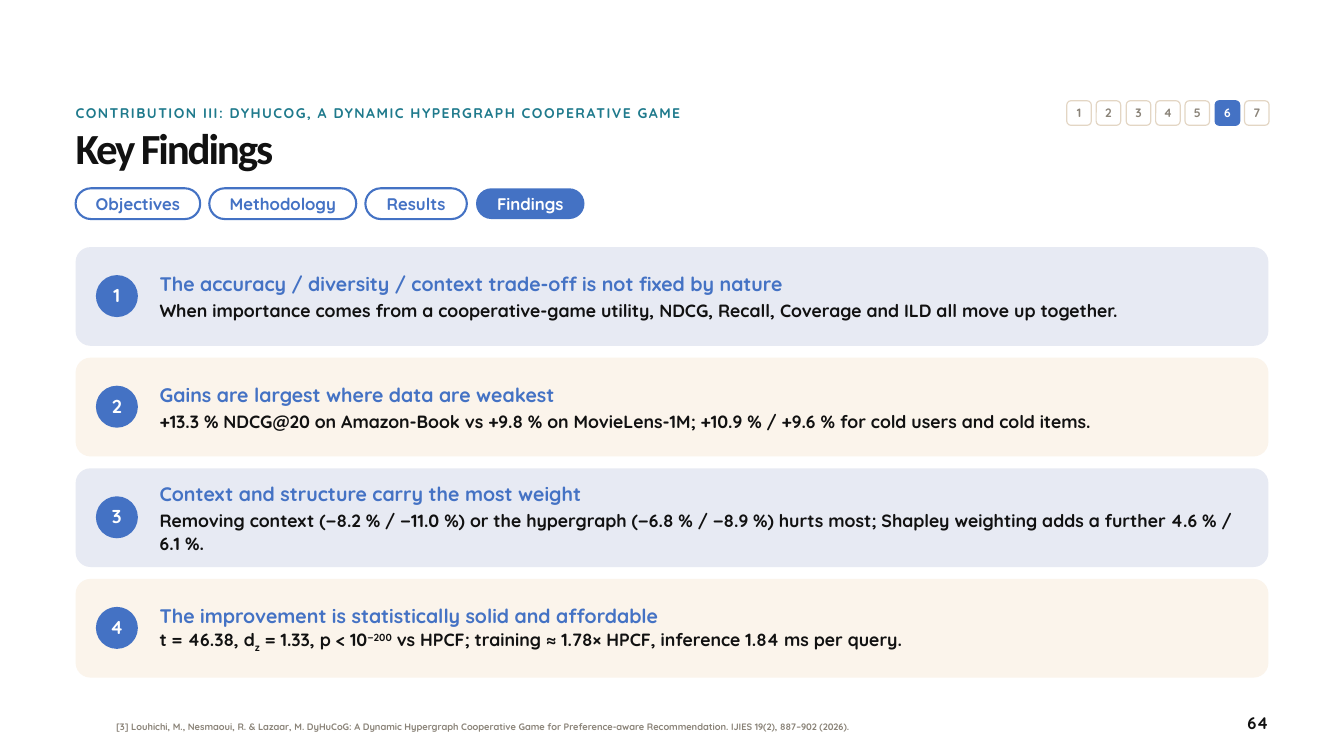
from dataclasses import dataclass

from pptx import Presentation
from pptx.dml.color import RGBColor
from pptx.enum.shapes import MSO_SHAPE
from pptx.enum.text import MSO_ANCHOR, PP_ALIGN
from pptx.util import Emu, Pt

EMU_PER_PX = 9525
LEFT, CONTENT_WIDTH = 108, 1704


@dataclass(frozen=True)
class Style:
    size: float
    leading: float
    color: str
    font: str = "Quicksand"
    tracking: float = 0


class Theme:
    BLUE, WHITE, INK, GREY, TEAL = "4472C4", "FFFFFF", "111111", "8A8378", "1F7A8C"
    BADGE_LINE = "E3D6C4"
    CARD_FILLS = ("E7EAF3", "FBF4EB")

    EYEBROW = Style(15, 20, TEAL, tracking=1.6)
    TITLE = Style(46, 50.6, INK, "Calibri", -2.3)
    BADGE, BADGE_ON = Style(13, 15, GREY), Style(13, 15, WHITE)
    TAB, TAB_ON = Style(18, 21.6, BLUE), Style(18, 21.6, WHITE)
    NUMBER = Style(20, 22, WHITE)
    HEADING, BODY = Style(21, 25, BLUE), Style(19, 24, INK)
    CITATION = Style(10, 12, GREY)
    PAGE = Style(18, 22, INK)


def px(length):
    return Emu(length * EMU_PER_PX)


def rgb(color):
    return RGBColor.from_string(color)


class SlideBuilder:
    def __init__(self, slide):
        self.shapes = slide.shapes

    def setup_frame(self, frame, anchor, side_inset=0):
        frame.word_wrap = True
        frame.vertical_anchor = anchor
        frame.margin_left = frame.margin_right = px(side_inset)
        frame.margin_top = frame.margin_bottom = 0

    def format_paragraph(self, paragraph, style, align=PP_ALIGN.LEFT):
        paragraph.alignment = align
        paragraph.line_spacing = Pt(style.leading)
        for run in paragraph.runs:
            run.font.name = style.font
            run.font.size = Pt(style.size)
            run.font.bold = True
            run.font.color.rgb = rgb(style.color)
            if style.tracking:
                run._r.get_or_add_rPr().set("spc", str(round(style.tracking * 100)))

    def text(self, box, content, style, align=PP_ALIGN.LEFT, anchor=MSO_ANCHOR.TOP):
        frame = self.shapes.add_textbox(*map(px, box)).text_frame
        self.setup_frame(frame, anchor)
        frame.text = content
        self.format_paragraph(frame.paragraphs[0], style, align)
        return frame

    def shape(self, kind, box, fill=None, line=None, line_width=0, radius=None):
        shape = self.shapes.add_shape(kind, *map(px, box))
        shape.shadow.inherit = False
        if radius is not None:
            shape.adjustments[0] = radius
        if fill:
            shape.fill.solid()
            shape.fill.fore_color.rgb = rgb(fill)
        else:
            shape.fill.background()
        if line:
            shape.line.color.rgb = rgb(line)
            shape.line.width = Pt(line_width)
        else:
            shape.line.fill.background()
        return shape

    def label(self, shape, content, style, side_inset=0):
        frame = shape.text_frame
        self.setup_frame(frame, MSO_ANCHOR.MIDDLE, side_inset)
        frame.text = content
        self.format_paragraph(frame.paragraphs[0], style, PP_ALIGN.CENTER)

    def badge(self, box, content, active):
        square = self.shape(
            MSO_SHAPE.ROUNDED_RECTANGLE, box, Theme.BLUE if active else Theme.WHITE,
            Theme.BLUE if active else Theme.BADGE_LINE, 1.25, 0.167)
        self.label(square, content, Theme.BADGE_ON if active else Theme.BADGE)

    def tab(self, box, content, active):
        pill = self.shape(
            MSO_SHAPE.ROUNDED_RECTANGLE, box, Theme.BLUE if active else None,
            None if active else Theme.BLUE, 2.25, 0.5)
        self.label(pill, content, Theme.TAB_ON if active else Theme.TAB, side_inset=5)

    def finding(self, top, number, heading, body, fill):
        """Draw one numbered card; body is a list of (text, baseline shift in %)."""
        height, circle = 141, 60
        self.shape(MSO_SHAPE.ROUNDED_RECTANGLE, (LEFT, top, CONTENT_WIDTH, height),
                   fill, radius=0.15)
        disc = self.shape(
            MSO_SHAPE.OVAL, (137, top + (height - circle) // 2, circle, circle), Theme.BLUE)
        self.label(disc, str(number), Theme.NUMBER)
        frame = self.text((228, top + 12, 1550, height - 23), heading, Theme.HEADING,
                          anchor=MSO_ANCHOR.MIDDLE)
        detail = frame.add_paragraph()
        detail.space_before = Pt(4)
        for content, shift in body:
            run = detail.add_run()
            run.text = content
            if shift:
                run._r.get_or_add_rPr().set("baseline", str(shift * 1000))
        self.format_paragraph(detail, Theme.BODY)


TABS = [("Objectives", 178), ("Methodology", 210), ("Results", 145), ("Findings", 155)]
FINDINGS = [
    ("The accuracy / diversity / context trade-off is not fixed by nature",
     [("When importance comes from a cooperative-game utility, NDCG, Recall, Coverage "
       "and ILD all move up together.", 0)]),
    ("Gains are largest where data are weakest",
     [("+13.3 % NDCG@20 on Amazon-Book vs +9.8 % on MovieLens-1M; "
       "+10.9 % / +9.6 % for cold users and cold items.", 0)]),
    ("Context and structure carry the most weight",
     [("Removing context (−8.2 % / −11.0 %) or the hypergraph (−6.8 % / −8.9 %) hurts most; "
       "Shapley weighting adds a further 4.6 % / 6.1 %.", 0)]),
    ("The improvement is statistically solid and affordable",
     [("t = 46.38, d", 0), ("z", -25), (" = 1.33, p < 10", 0), ("−200", 30),
      (" vs HPCF; training ≈ 1.78× HPCF, inference 1.84 ms per query.", 0)]),
]


def main():
    deck = Presentation()
    deck.slide_width, deck.slide_height = px(1920), px(1080)
    builder = SlideBuilder(deck.slides.add_slide(deck.slide_layouts[6]))

    builder.text((LEFT, 146, 1358, 35),
                 "CONTRIBUTION III: DYHUCOG, A DYNAMIC HYPERGRAPH COOPERATIVE GAME",
                 Theme.EYEBROW)
    builder.text((LEFT, 180, CONTENT_WIDTH, 77), "Key Findings", Theme.TITLE)

    section_count, current_section, badge_span = 7, 6, 254
    for index in range(section_count):
        left = 1524 + round(index * badge_span / (section_count - 1))
        builder.badge((left, 144, 35, 35), str(index + 1), index + 1 == current_section)

    tab_left, tab_gap = LEFT, 13
    for name, width in TABS:
        builder.tab((tab_left, 269, width, 44), name, name == "Findings")
        tab_left += width + tab_gap

    for index, (heading, body) in enumerate(FINDINGS):
        builder.finding(353 + index * 158, index + 1, heading, body,
                        Theme.CARD_FILLS[index % 2])

    builder.text((166, 1008, 1522, 60),
                 "[3] Louhichi, M., Nesmaoui, R. & Lazaar, M. DyHuCoG: A Dynamic Hypergraph "
                 "Cooperative Game for Preference-aware Recommendation. "
                 "IJIES 19(2), 887–902 (2026).",
                 Theme.CITATION, anchor=MSO_ANCHOR.MIDDLE)
    builder.text((1697, 1018, 115, 35), "64", Theme.PAGE, PP_ALIGN.RIGHT)

    deck.save("out.pptx")


if __name__ == "__main__":
    main()
